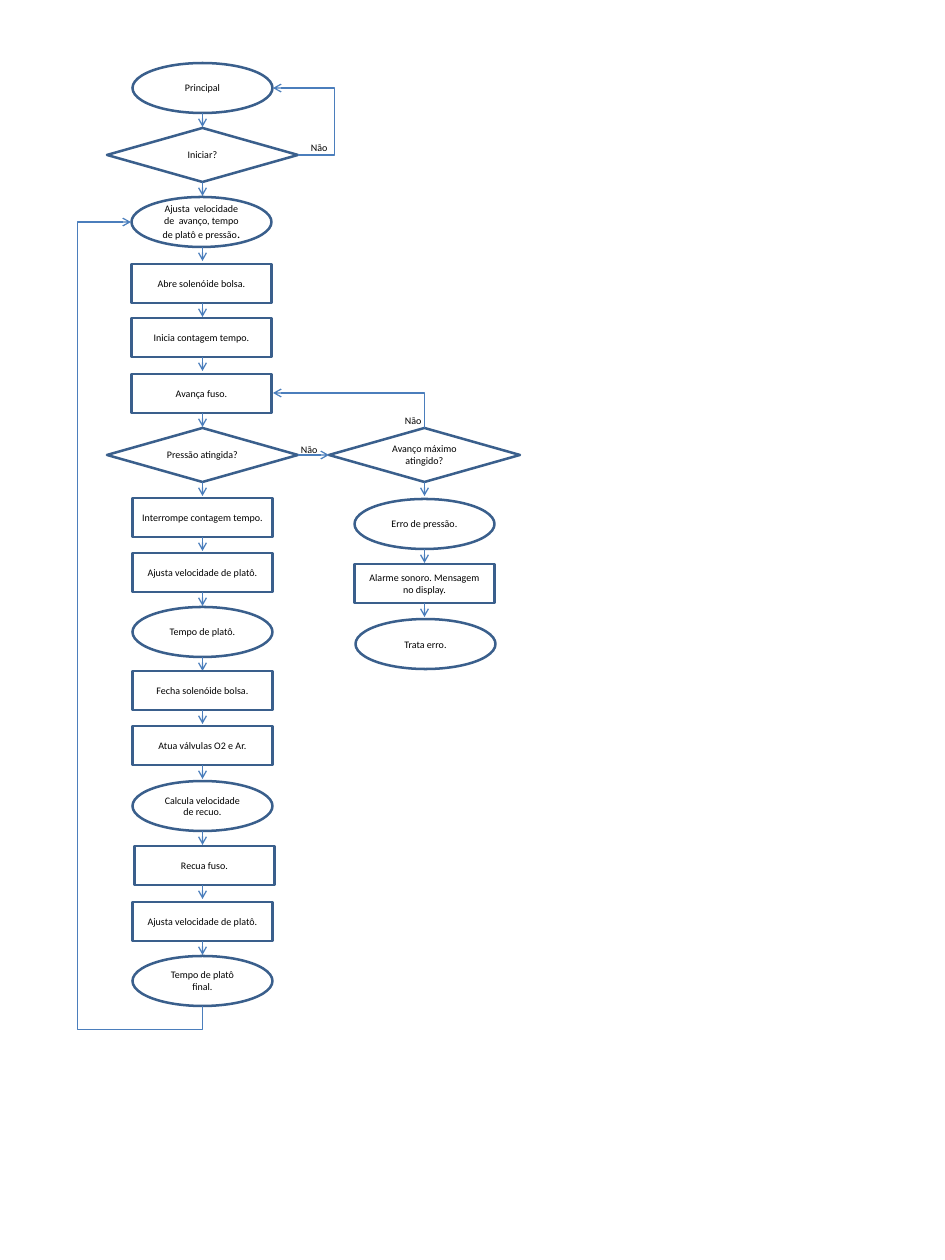
import math

import pptx
import pptx.dml.color
import pptx.enum.shapes
import pptx.enum.text
import pptx.oxml
import pptx.oxml.ns
import pptx.util

PX = 914400 // 90
WHITE = pptx.dml.color.RGBColor(0xFF, 0xFF, 0xFF)
BLACK = pptx.dml.color.RGBColor(0x00, 0x00, 0x00)
BORDER = pptx.dml.color.RGBColor(0x3A, 0x5F, 0x8C)
ARROW = pptx.dml.color.RGBColor(0x4B, 0x7E, 0xBC)

SHAPE = pptx.enum.shapes.MSO_SHAPE
CONNECTOR = pptx.enum.shapes.MSO_CONNECTOR
COLUMN_WIDTH = 191
ARROW_LENGTH = 14
ACTION, STATE, DECISION = SHAPE.RECTANGLE, SHAPE.OVAL, SHAPE.DIAMOND
SIZES = {ACTION: (140, 39), STATE: (140, 50), DECISION: (COLUMN_WIDTH, 54)}

# Each step: kind, offset from the column's centre, offset from its top, text
MAIN_STEPS = [
    (STATE, 0, 0, "Principal"),
    (DECISION, 0, 65, "Iniciar?"),
    (STATE, -1, 134, "Ajusta  velocidade de  avanço, tempo de platô e pressão"),
    (ACTION, -1, 201, "Abre solenóide bolsa."),
    (ACTION, -1, 255, "Inicia contagem tempo."),
    (ACTION, -1, 311, "Avança fuso."),
    (DECISION, 0, 365, "Pressão atingida?"),
    (ACTION, 0, 435, "Interrompe contagem tempo."),
    (ACTION, 0, 490, "Ajusta velocidade de platô."),
    (STATE, 0, 544, "Tempo de platô."),
    (ACTION, 0, 608, "Fecha solenóide bolsa."),
    (ACTION, 0, 663, "Atua válvulas O2 e Ar."),
    (STATE, 0, 718, "Calcula velocidade de recuo."),
    (ACTION, 2, 783, "Recua fuso."),
    (ACTION, 0, 839, "Ajusta velocidade de platô."),
    (STATE, 0, 893, "Tempo de platô final."),
]
ERROR_STEPS = [
    (DECISION, 0, 0, "Avanço máximo atingido?"),
    (STATE, 0, 71, "Erro de pressão."),
    (ACTION, 0, 136, "Alarme sonoro. Mensagem no display."),
    (STATE, 1, 191, "Trata erro."),
]


def emu(pixels):
    """Turn pixels into EMU."""
    return round(pixels * PX)


def style_text(paragraph):
    """Set the common label font."""
    paragraph.font.name = "Calibri"
    paragraph.font.size = pptx.util.Pt(8)
    paragraph.font.color.rgb = BLACK


def add_step(slide, kind, left, top, text):
    """Draw one step of the flow and return it."""
    width, height = SIZES[kind]
    step = slide.shapes.add_shape(kind, emu(left), emu(top), emu(width), emu(height))
    step.shadow.inherit = False
    step.fill.solid()
    step.fill.fore_color.rgb = WHITE
    step.line.color.rgb = BORDER
    step.line.width = pptx.util.Pt(2)
    step.text_frame.vertical_anchor = pptx.enum.text.MSO_ANCHOR.MIDDLE
    step.text_frame.word_wrap = True
    label = step.text_frame.paragraphs[0]
    label.text = text
    label.alignment = pptx.enum.text.PP_ALIGN.CENTER
    style_text(label)
    return step


def add_arrow(slide, start, end, kind=CONNECTOR.STRAIGHT):
    """Draw a connector with an open arrowhead at its end."""
    arrow = slide.shapes.add_connector(kind, *(emu(v) for v in (*start, *end)))
    arrow.line.color.rgb = ARROW
    arrow.line.width = pptx.util.Pt(1)
    line = arrow.line._get_or_add_ln()
    line.append(pptx.oxml.parse_xml(
        f'<a:tailEnd {pptx.oxml.ns.nsdecls("a")} type="arrow"/>'))
    properties = arrow._element.spPr
    properties.append(properties.makeelement(pptx.oxml.ns.qn("a:effectLst"), {}))
    return arrow


def add_bent_arrow(slide, start, end, preset, turn=0, bends=()):
    """Draw a bent arrow turned clockwise, with its bends as fractions of its size."""
    middle = [(a + b) / 2 for a, b in zip(start, end)]
    cos, sin = math.cos(math.radians(turn)), math.sin(math.radians(turn))

    def unturned(point):
        """Give the place of a point before the turn."""
        dx, dy = point[0] - middle[0], point[1] - middle[1]
        return middle[0] + dx * cos + dy * sin, middle[1] - dx * sin + dy * cos

    arrow = add_arrow(slide, unturned(start), unturned(end), CONNECTOR.ELBOW)
    properties = arrow._element.spPr
    properties.xfrm.set("rot", str(turn * 60000))
    geometry = properties.find(pptx.oxml.ns.qn("a:prstGeom"))
    geometry.set("prst", preset)
    guides = geometry.find(pptx.oxml.ns.qn("a:avLst"))
    for number, bend in enumerate(bends, 1):
        guides.append(guides.makeelement(pptx.oxml.ns.qn("a:gd"), {
            "name": f"adj{number}", "fmla": f"val {round(bend * 100000)}"}))


def add_no_label(slide, left, top):
    """Write the label of a decision's negative branch."""
    box = slide.shapes.add_textbox(emu(left), emu(top), emu(35), emu(22))
    box.text_frame.word_wrap = False
    box.text_frame.auto_size = pptx.enum.text.MSO_AUTO_SIZE.SHAPE_TO_FIT_TEXT
    label = box.text_frame.paragraphs[0]
    label.text = "Não"
    style_text(label)


def add_column(slide, left, top, steps):
    """Draw a column of steps joined by short downward arrows."""
    centre = left + COLUMN_WIDTH / 2
    shapes = []
    for index, (kind, shift, offset, text) in enumerate(steps):
        width, height = SIZES[kind]
        shapes.append(add_step(slide, kind, centre - width / 2 + shift, top + offset, text))
        if index < len(steps) - 1:
            bottom = top + offset + height
            add_arrow(slide, (centre, bottom), (centre, bottom + ARROW_LENGTH))
    return shapes


def add_main_flow(slide, left, top):
    """Draw the main cycle with its start and repeat loops."""
    centre = left + COLUMN_WIDTH / 2
    steps = add_column(slide, left, top, MAIN_STEPS)
    full_stop = steps[2].text_frame.paragraphs[0].add_run()
    full_stop.text = "."
    full_stop.font.size = pptx.util.Pt(10)
    add_bent_arrow(slide, (left + 191, top + 92), (left + 166, top + 25),
                   "bentConnector3", bends=(-1.45,))
    add_no_label(slide, left + 195, top + 74)
    add_bent_arrow(slide, (centre, top + 943), (left + 24, top + 159),
                   "bentConnector4", 90, (-0.03, 1.75))


def add_error_flow(slide, left, top):
    """Draw the error branch and its links to the main cycle."""
    add_column(slide, left, top, ERROR_STEPS)
    add_arrow(slide, (left - 31, top + 27), (left, top + 27))
    add_no_label(slide, left - 37, top + 11)
    add_bent_arrow(slide, (left + COLUMN_WIDTH / 2, top), (left - 56, top - 35),
                   "bentConnector2", 270)
    add_no_label(slide, left + 67, top - 18)


deck = pptx.Presentation()
deck.slide_width, deck.slide_height = emu(945), emu(1260)
flowchart = deck.slides.add_slide(deck.slide_layouts[6])
add_main_flow(flowchart, 107, 63)
add_error_flow(flowchart, 329, 428)
deck.save("out.pptx")
